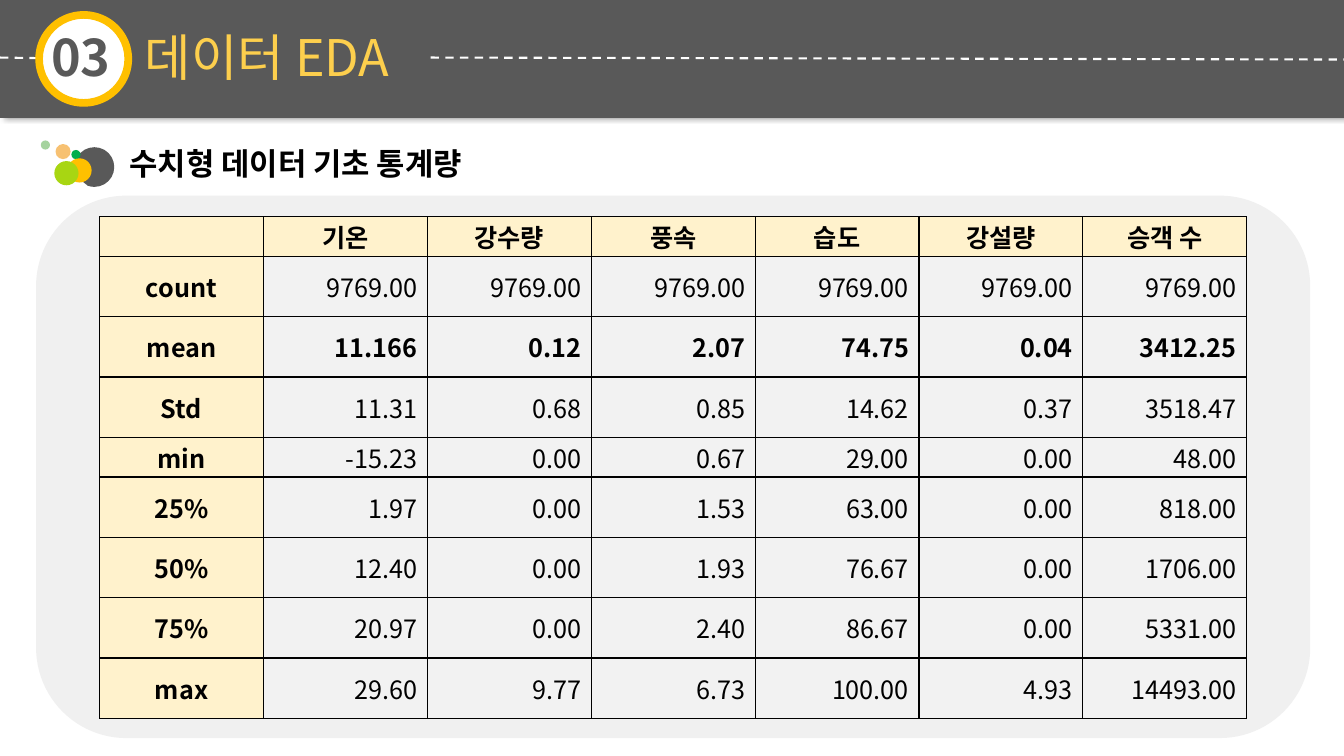
import lxml.etree
import pptx
import pptx.dml.color
import pptx.enum.dml
import pptx.enum.shapes
import pptx.enum.text
import pptx.oxml.ns
import pptx.util

SHAPES = pptx.enum.shapes.MSO_SHAPE
ALIGN = pptx.enum.text.PP_ALIGN
Cm = pptx.util.Cm
Pt = pptx.util.Pt
qn = pptx.oxml.ns.qn


def color(value):
    return pptx.dml.color.RGBColor.from_string(value)


def add_node(parent, tag, **attributes):
    return lxml.etree.SubElement(parent, qn(tag), attributes)


def add_color(parent, value, alpha=100):
    fill = add_node(parent, "a:srgbClr", val=value)
    if alpha < 100:
        add_node(fill, "a:alpha", val=str(alpha * 1000))


class SlideBuilder:
    font = "Noto Sans CJK KR"
    black = "000000"
    white = "FFFFFF"
    gray = "595959"
    gold = "FFC000"
    label_fill = "FFF2CC"
    value_fill = "F2F2F2"

    def __init__(self, slide):
        self.slide = slide

    def group(self):
        return self.slide.shapes.add_group_shape().shapes

    def shape(self, kind, left, top, width, height, fill, parent=None, adjustments=()):
        shapes = self.slide.shapes if parent is None else parent
        shape = shapes.add_shape(kind, Cm(left), Cm(top), Cm(width), Cm(height))
        shape.fill.solid()
        shape.fill.fore_color.rgb = color(fill)
        shape.line.fill.background()
        shape.shadow.inherit = False
        for index, value in enumerate(adjustments):
            shape.adjustments[index] = value
        return shape

    def cast_shadow(self, shape):
        effects = shape.element.spPr.find(qn("a:effectLst"))
        shadow = add_node(effects, "a:outerShdw", blurRad=str(Pt(4)), dist=str(Pt(3)),
                          dir="0", algn="l", rotWithShape="0")
        add_color(shadow, self.black, 40)

    def dashed_line(self, left, top, right, bottom):
        line = self.slide.shapes.add_connector(
            pptx.enum.shapes.MSO_CONNECTOR.STRAIGHT, Cm(left), Cm(top), Cm(right), Cm(bottom))
        line.line.color.rgb = color(self.white)
        line.line.width = Pt(1.5)
        line.line.dash_style = pptx.enum.dml.MSO_LINE.DASH
        add_node(line.element.spPr, "a:effectLst")

    def format_span(self, span, size, fill, bold):
        span.font.size = Pt(size)
        span.font.bold = bold
        span.font.color.rgb = color(fill)
        span.font.name = self.font
        add_node(span.font._element, "a:ea", typeface=self.font)

    def text(self, words, left, top, width, height, size, fill, bold=True):
        box = self.slide.shapes.add_textbox(Cm(left), Cm(top), Cm(width), Cm(height))
        frame = box.text_frame
        frame.word_wrap = True
        frame.auto_size = pptx.enum.text.MSO_AUTO_SIZE.SHAPE_TO_FIT_TEXT
        frame.text = words
        span = frame.paragraphs[0].runs[0]
        self.format_span(span, size, fill, bold)
        return span

    def outline(self, span):
        line = lxml.etree.Element(qn("a:ln"), w=str(Pt(0.25)))
        add_color(add_node(line, "a:solidFill"), self.black, 48)
        span.font._element.insert(0, line)

    def cell(self, cell, words, is_label, bold):
        cell.margin_top = cell.margin_bottom = Cm(0.02)
        cell.vertical_anchor = pptx.enum.text.MSO_ANCHOR.MIDDLE
        cell.text = words
        para = cell.text_frame.paragraphs[0]
        para.alignment = ALIGN.CENTER if is_label else ALIGN.RIGHT
        for span in para.runs:
            self.format_span(span, 18, self.black, bold)
        properties = cell._tc.get_or_add_tcPr()
        for side in ("a:lnL", "a:lnR", "a:lnT", "a:lnB"):
            border = add_node(properties, side, w=str(Pt(1)))
            add_color(add_node(border, "a:solidFill"), self.black)
        cell.fill.solid()
        cell.fill.fore_color.rgb = color(self.label_fill if is_label else self.value_fill)

    def table(self, rows, left, top, column_width, row_heights, bold_label):
        columns = len(rows[0])
        table = self.slide.shapes.add_table(
            len(rows), columns, Cm(left), Cm(top),
            Cm(column_width * columns), Cm(sum(row_heights))).table
        table.first_row = table.horz_banding = False
        for column in table.columns:
            column.width = Cm(column_width)
        for row_index, (row, height) in enumerate(zip(rows, row_heights)):
            table.rows[row_index].height = Cm(height)
            for column_index, words in enumerate(row):
                is_label = row_index == 0 or column_index == 0
                self.cell(table.cell(row_index, column_index), words, is_label,
                          is_label or row[0] == bold_label)


STATISTICS = [
    ["", "기온", "강수량", "풍속", "습도", "강설량", "승객 수"],
    ["count"] + ["9769.00"] * 6,
    ["mean", "11.166", "0.12", "2.07", "74.75", "0.04", "3412.25"],
    ["Std", "11.31", "0.68", "0.85", "14.62", "0.37", "3518.47"],
    ["min", "-15.23", "0.00", "0.67", "29.00", "0.00", "48.00"],
    ["25%", "1.97", "0.00", "1.53", "63.00", "0.00", "818.00"],
    ["50%", "12.40", "0.00", "1.93", "76.67", "0.00", "1706.00"],
    ["75%", "20.97", "0.00", "2.40", "86.67", "0.00", "5331.00"],
    ["max", "29.60", "9.77", "6.73", "100.00", "4.93", "14493.00"],
]

BUBBLES = [
    (SHAPES.OVAL, 1.4, 3.63, 0.38, "F7C172", ()),
    (SHAPES.OVAL, 1.03, 3.54, 0.23, "A5D39E", ()),
    (SHAPES.CHORD, 1.88, 3.71, 1, SlideBuilder.gray, (89, 65.7)),
    (SHAPES.OVAL, 1.8, 3.78, 0.23, "00AE4D", ()),
    (SHAPES.OVAL, 1.7, 3.99, 0.61, SlideBuilder.gold, ()),
    (SHAPES.OVAL, 1.37, 4.06, 0.61, "A8D612", ()),
]


def main():
    deck = pptx.Presentation()
    deck.slide_width = Cm(33.87)
    deck.slide_height = Cm(19.05)
    page = SlideBuilder(deck.slides.add_slide(deck.slide_layouts[6]))

    page.shape(SHAPES.ROUNDED_RECTANGLE, 0.91, 4.93, 32.11, 13.67, "F0F0F0")
    header = page.shape(SHAPES.RECTANGLE, 0, 0, 33.87, 2.97, page.gray)
    page.cast_shadow(header)
    page.dashed_line(0, 1.45, 3.33, 1.5)

    badge = page.group()
    page.shape(SHAPES.OVAL, 0.97, 0.36, 2.26, 2.21, page.white, badge)
    page.shape(SHAPES.DONUT, 0.89, 0.28, 2.44, 2.41, page.gold, badge, (0.08,))
    page.text("03", 1.04, 0.53, 2.36, 1.8, 36, page.gray)
    title = page.text("데이터 EDA", 3.4, 0.53, 10.31, 3.33, 36, "FDCF4D", bold=False)
    page.outline(title)
    page.dashed_line(10.85, 1.45, 33.87, 1.5)

    page.text("수치형 데이터 기초 통계량", 3.02, 3.51, 17.83, 1.19, 22, page.black)
    bubbles = page.group()
    for kind, left, top, size, fill, adjustments in BUBBLES:
        page.shape(kind, left, top, size, size, fill, bubbles, adjustments)

    row_heights = [1 if row[0] in ("", "min") else 1.52 for row in STATISTICS]
    page.table(STATISTICS, 2.51, 5.46, 4.13, row_heights, "mean")
    deck.save("out.pptx")


if __name__ == "__main__":
    main()
